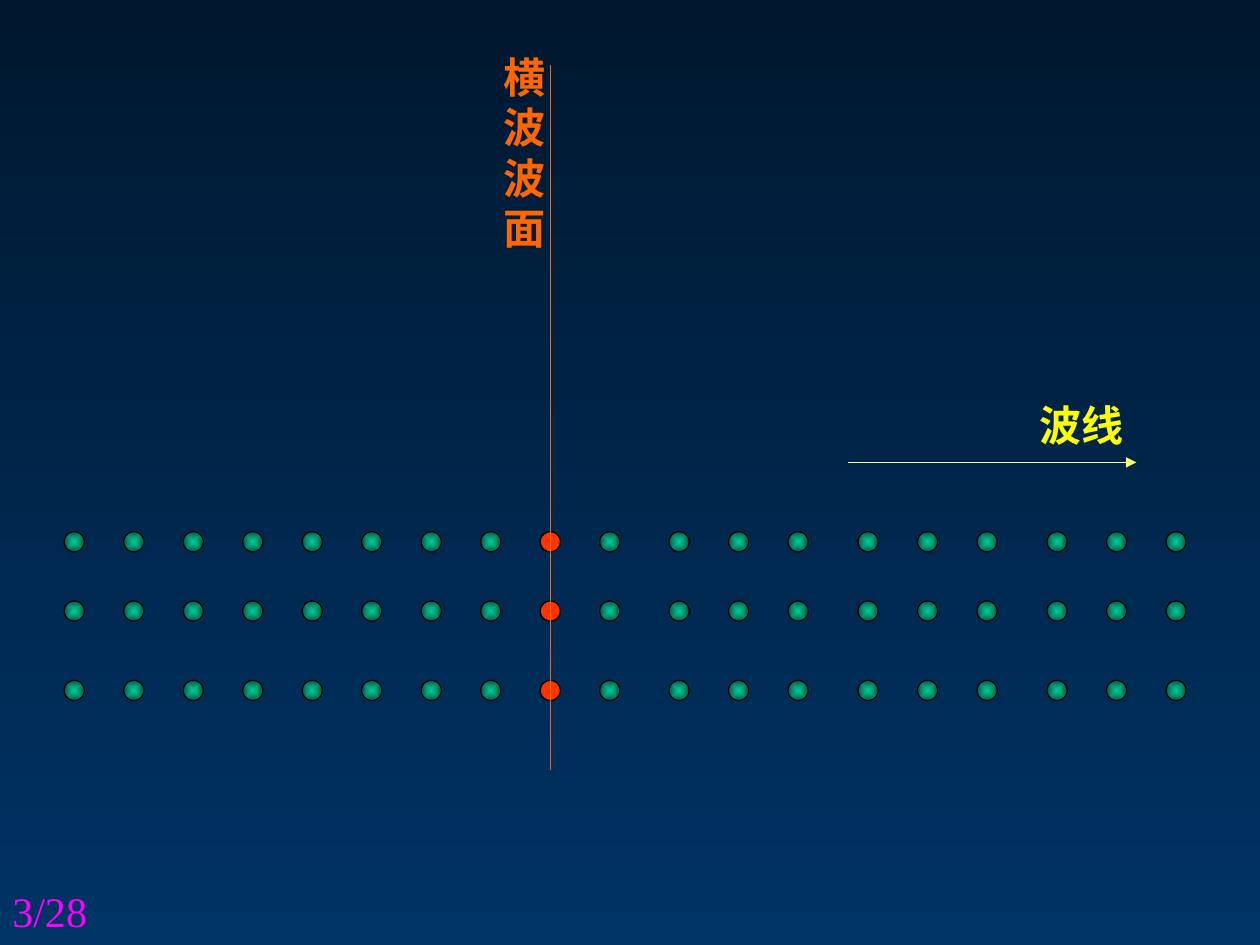
"""Build a slide of particle rows crossed by a transverse wavefront and a ray."""
import lxml.etree
import pptx
import pptx.dml.color
import pptx.enum.shapes
import pptx.enum.text
import pptx.oxml.ns
import pptx.util

Inches = pptx.util.Inches
qn = pptx.oxml.ns.qn

COLORS = {
    "sky_top": "00182F",
    "sky_bottom": "003366",
    "particle_light": "00CC99",
    "particle_dark": "005E47",
    "front_particle": "FF3300",
    "outline": "000000",
    "front": "FF6600",
    "ray": "FFFF66",
    "ray_label": "FFFF00",
    "page_number": "FF00FF",
}
DOT_SIZE = 0.16
FRONT_COLUMN = 8
ROW_TOPS = [4.77, 4.22, 5.4]
COLUMN_GROUPS = [(0.51, 10), (5.31, 3), (6.81, 3), (8.31, 3)]
COLUMN_STEP = (4.76 - 0.51) / 9


def rgb(name):
    return pptx.dml.color.RGBColor.from_string(COLORS[name])


def write_text(frame, text, *, color, font="Arial", size=24, bold=False):
    para = frame.paragraphs[0]
    span = para.add_run()
    span.text = text
    span.font.name = font
    span.font.size = pptx.util.Pt(size)
    span.font.bold = bold
    span.font.color.rgb = rgb(color)


class SlidePainter:
    def __init__(self, page):
        self.page = page
        self.line_width = pptx.util.Pt(0.75)

    def gradient(self, fill, start, end):
        fill.gradient()
        for stop, name in zip(fill.gradient_stops, (start, end)):
            stop.color.rgb = rgb(name)

    def background(self, top, bottom):
        fill = self.page.background.fill
        self.gradient(fill, top, bottom)
        fill.gradient_angle = 270

    def particle(self, left, top, on_front):
        dot = self.page.shapes.add_shape(
            pptx.enum.shapes.MSO_SHAPE.OVAL,
            Inches(left), Inches(top), Inches(DOT_SIZE), Inches(DOT_SIZE))
        dot.shadow.inherit = False
        dot.line.color.rgb = rgb("outline")
        dot.line.width = self.line_width
        if on_front:
            dot.fill.solid()
            dot.fill.fore_color.rgb = rgb("front_particle")
            return
        self.gradient(dot.fill, "particle_light", "particle_dark")
        gradient = dot._element.spPr.find(qn("a:gradFill"))
        gradient.remove(gradient.find(qn("a:lin")))
        shade = lxml.etree.SubElement(gradient, qn("a:path"), path="rect")
        lxml.etree.SubElement(shade, qn("a:fillToRect"),
                              l="50000", t="50000", r="50000", b="50000")

    def line(self, start, end, color, arrow=False):
        connector = self.page.shapes.add_connector(
            pptx.enum.shapes.MSO_CONNECTOR.STRAIGHT,
            *map(Inches, start + end))
        connector.line.color.rgb = rgb(color)
        connector.line.width = self.line_width
        properties = connector._element.spPr
        if arrow:
            lxml.etree.SubElement(properties.find(qn("a:ln")), qn("a:tailEnd"), type="triangle")
        lxml.etree.SubElement(properties, qn("a:effectLst"))

    def label(self, text, left, top, width, height, grow=False, **style):
        box = self.page.shapes.add_textbox(*map(Inches, (left, top, width, height)))
        frame = box.text_frame
        frame.word_wrap = True
        sizing = pptx.enum.text.MSO_AUTO_SIZE
        frame.auto_size = sizing.SHAPE_TO_FIT_TEXT if grow else sizing.NONE
        write_text(frame, text, **style)


def main():
    deck = pptx.Presentation()
    deck.slide_width, deck.slide_height = Inches(10), Inches(7.5)
    painter = SlidePainter(deck.slides.add_slide(deck.slide_layouts[6]))
    painter.background("sky_top", "sky_bottom")

    columns = [start + COLUMN_STEP * index
               for start, count in COLUMN_GROUPS for index in range(count)]
    for top in ROW_TOPS:
        for column, left in enumerate(columns):
            painter.particle(left, top, column == FRONT_COLUMN)

    painter.label("横波波面", 3.9, 0.36, 0.57, 1.7, grow=True, color="front", bold=True)
    painter.line((4.37, 6.11), (4.37, 0.52), "front")
    painter.line((6.73, 3.67), (9.02, 3.67), "ray", arrow=True)
    painter.label("波线", 8.15, 3.12, 0.9, 0.5, grow=True, color="ray_label", bold=True)
    painter.label("3/28", 0, 6.98, 2.33, 0.52,
                  color="page_number", font="Times New Roman")
    deck.save("out.pptx")


if __name__ == "__main__":
    main()
